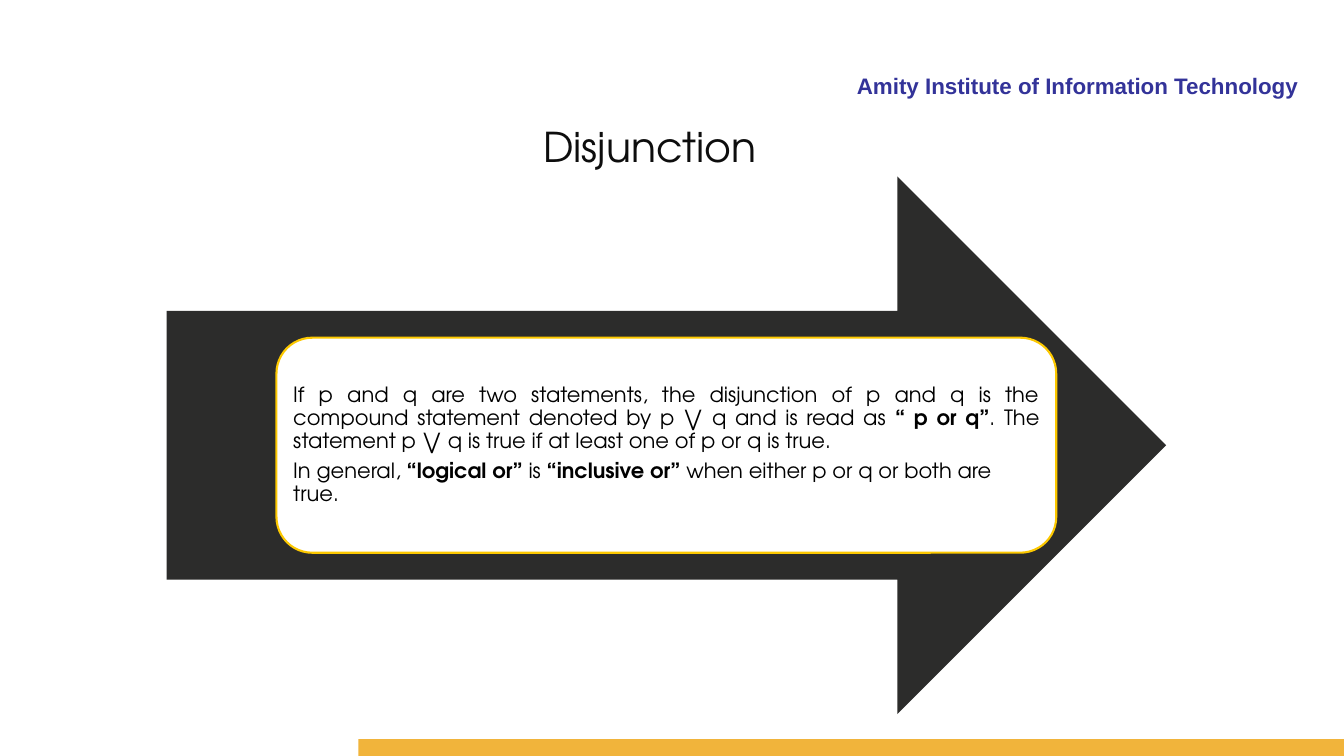
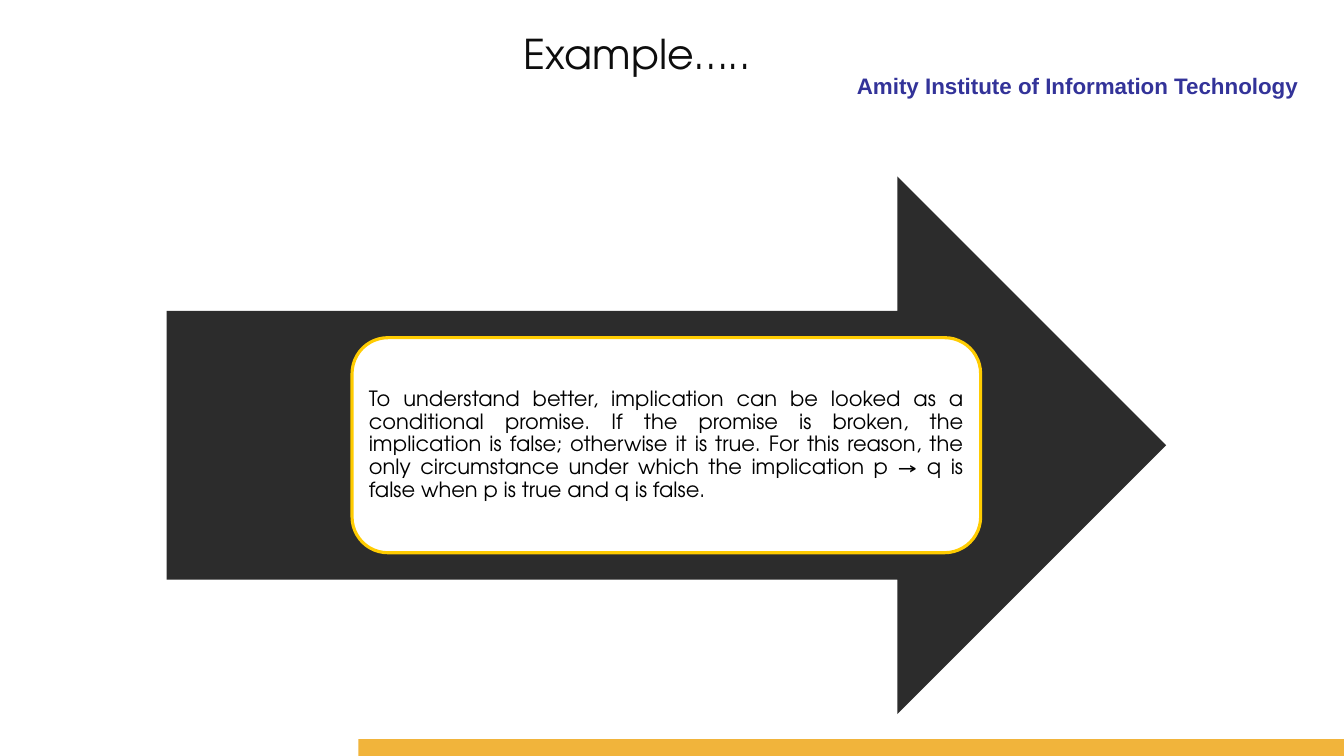
from pptx import Presentation
from pptx.dml.color import RGBColor
from pptx.enum.shapes import MSO_SHAPE
from pptx.enum.text import MSO_ANCHOR, MSO_AUTO_SIZE, PP_ALIGN
from pptx.util import Pt

RECT, ARROW, ROUND = MSO_SHAPE.RECTANGLE, MSO_SHAPE.RIGHT_ARROW, MSO_SHAPE.ROUNDED_RECTANGLE
LEFT, RIGHT, JUSTIFY = PP_ALIGN.LEFT, PP_ALIGN.RIGHT, PP_ALIGN.JUSTIFY
MIDDLE, GROW = MSO_ANCHOR.MIDDLE, MSO_AUTO_SIZE.SHAPE_TO_FIT_TEXT

SLIDE_W, SLIDE_H = 960, 540
BAND_W, BAND_H = 704, 12
ARROW_BOX = (119, 126, 714, 384)
HEADING_FONT, BODY_FONT = "Arial", "TeX Gyre Adventor"
NAVY, GOLD, INK, BLACK, WHITE = "333399", "F1B43B", "0D0D0D", "000000", "FFFFFF"


def rgb(value):
    return RGBColor.from_string(value)


def add_run(p, text, size, font, color, bold=False):
    r = p.add_run()
    r.text = text
    r.font.size = Pt(size)
    r.font.name = font
    r.font.bold = bold
    r.font.color.rgb = rgb(color)


def add_shape(s, kind, box, fill, line=None, line_width=0):
    sp = s.shapes.add_shape(kind, *map(Pt, box))
    sp.shadow.inherit = False
    sp.fill.solid()
    sp.fill.fore_color.rgb = rgb(fill)
    if line:
        sp.line.color.rgb = rgb(line)
        sp.line.width = Pt(line_width)
    else:
        sp.line.fill.background()
    return sp


def add_frame(s):
    tf = s.shapes.add_textbox(Pt(366.5), Pt(48), Pt(568), Pt(24)).text_frame
    tf.word_wrap = True
    p = tf.paragraphs[0]
    p.alignment = RIGHT
    add_run(p, "Amity Institute of Information Technology", 16, HEADING_FONT, NAVY, True)
    add_shape(s, RECT, (SLIDE_W - BAND_W, SLIDE_H - BAND_H, BAND_W, BAND_H), GOLD)


def add_title(s, text, box):
    tf = s.shapes.add_textbox(*map(Pt, box)).text_frame
    tf.word_wrap = False
    tf.auto_size = GROW
    add_run(tf.paragraphs[0], text, 29.3, BODY_FONT, INK)


def add_arrow_card(s, box, card_w, paragraphs, fill, line, line_width):
    x, y, w, h = box
    card_h = 0.4 * h
    add_shape(s, ARROW, box, fill)
    card_box = (x + (w - card_w) / 2, y + (h - card_h) / 2, card_w, card_h)
    tf = add_shape(s, ROUND, card_box, WHITE, line, line_width).text_frame
    tf.word_wrap = True
    tf.vertical_anchor = MIDDLE
    tf.margin_left = tf.margin_right = tf.margin_top = tf.margin_bottom = Pt(4.5)
    for i, (align, runs) in enumerate(paragraphs):
        p = tf.add_paragraph() if i else tf.paragraphs[0]
        p.alignment = align
        p.line_spacing = 0.9
        p.space_after = Pt(5.25)
        for text, bold in runs:
            add_run(p, text, 15, BODY_FONT, BLACK, bold)


def add_statement_slide(prs, title, title_box, **card):
    s = prs.slides.add_slide(prs.slide_layouts[6])
    add_frame(s)
    add_title(s, title, title_box)
    add_arrow_card(s, ARROW_BOX, **card)


def main():
    prs = Presentation()
    prs.slide_width, prs.slide_height = Pt(SLIDE_W), Pt(SLIDE_H)
    add_statement_slide(
        prs, "Disjunction", (381, 83.5, 169, 42.5),
        card_w=557, fill="2C2C2B", line="FCC800", line_width=1.5,
        paragraphs=[
            (JUSTIFY, [
                ("If p and q are two statements, the disjunction of p and q is the "
                 "compound statement denoted by p ⋁ q and is read as ", False),
                ("“ p or q”", True),
                (". The statement p ⋁ q is true if at least one of p or q is true.", False),
            ]),
            (LEFT, [
                ("In general, ", False),
                ("“logical or” ", True),
                ("is ", False),
                ("“inclusive or” ", True),
                ("when either p or q or both are true.", False),
            ]),
        ])
    add_statement_slide(
        prs, "Example…..", (367, 16.5, 184.5, 42.5),
        card_w=449, fill="2C2C2C", line="FFCC01", line_width=2.25,
        paragraphs=[
            (JUSTIFY, [
                ("To understand better, implication can be looked as a conditional promise. "
                 "If the promise is broken, the implication is false; otherwise it is true. "
                 "For this reason, the only circumstance under which the implication p → q "
                 "is false when p is true and q is false.", False),
            ]),
        ])
    prs.save("out.pptx")


if __name__ == "__main__":
    main()
